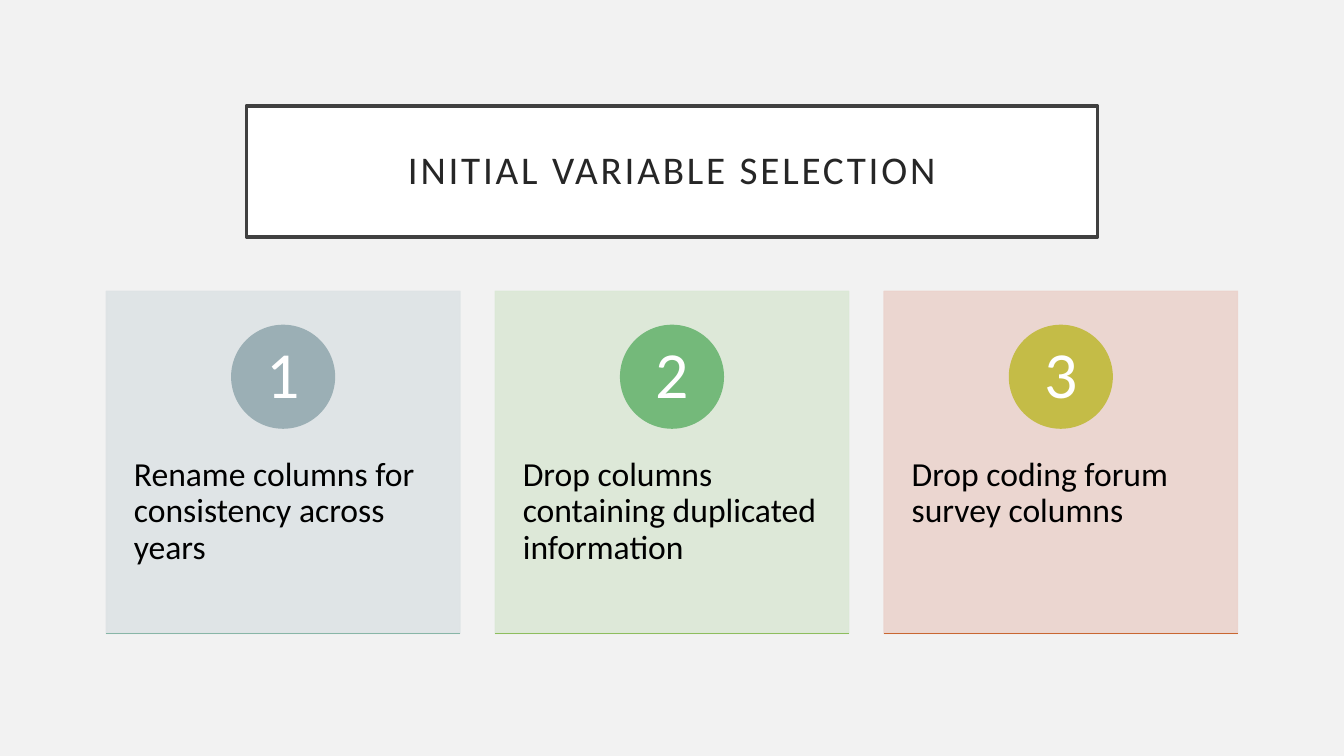
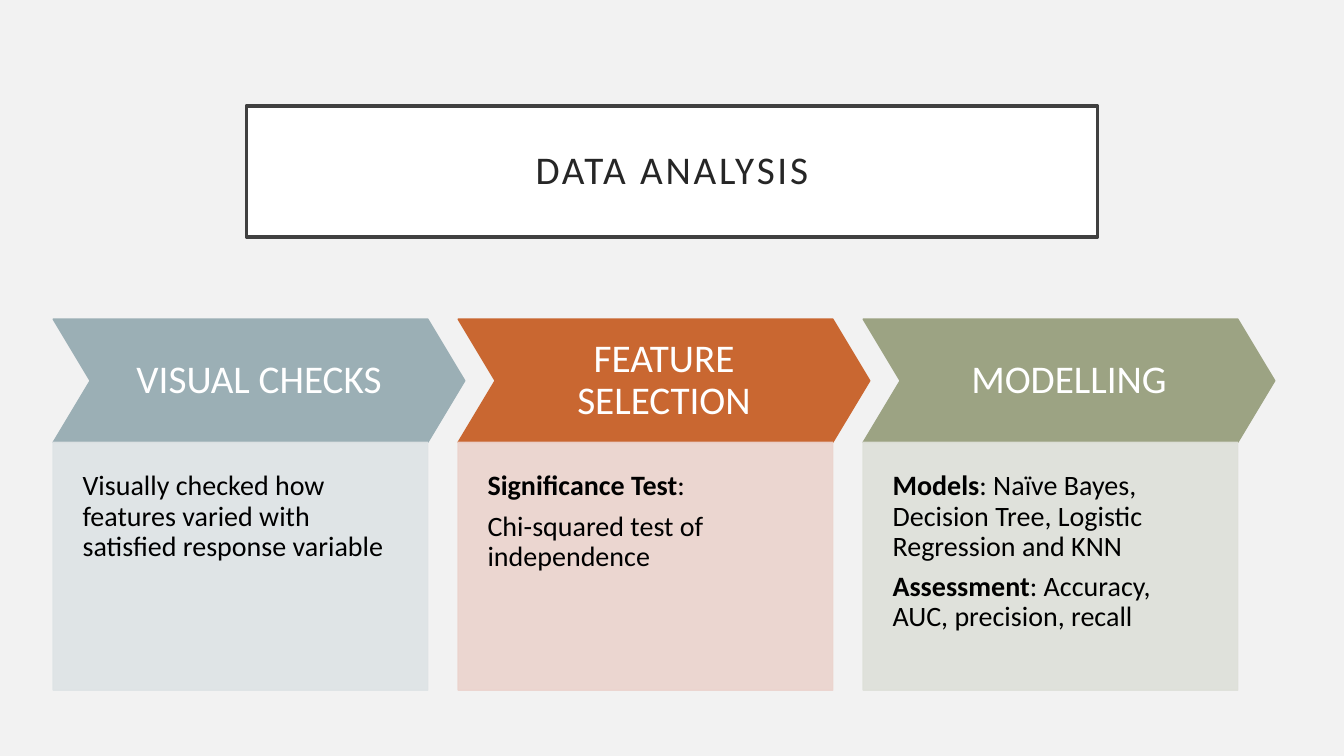
from dataclasses import dataclass

from lxml import etree
from pptx import Presentation
from pptx.dml.color import RGBColor
from pptx.enum.shapes import MSO_CONNECTOR, MSO_SHAPE
from pptx.enum.text import MSO_ANCHOR, MSO_AUTO_SIZE, PP_ALIGN
from pptx.oxml.ns import qn
from pptx.util import Pt

RECT, OVAL, CHEVRON = MSO_SHAPE.RECTANGLE, MSO_SHAPE.OVAL, MSO_SHAPE.CHEVRON
STRAIGHT = MSO_CONNECTOR.STRAIGHT
LEFT, CENTER = PP_ALIGN.LEFT, PP_ALIGN.CENTER
TOP, MIDDLE = MSO_ANCHOR.TOP, MSO_ANCHOR.MIDDLE
NO_FIT = MSO_AUTO_SIZE.NONE
WIDE, HIGH = 960, 540


# Theme
@dataclass(frozen=True)
class Theme:
    font: str = "Calibri"
    back: str = "F2F2F2"
    white: str = "FFFFFF"
    black: str = "000000"
    frame: str = "404040"
    ink: str = "262626"
    slate: str = "9BAFB5"
    green: str = "74B97A"
    gold: str = "C4BC47"
    rust: str = "C96731"
    sage: str = "9CA383"
    teal: str = "88B6A7"
    lime: str = "8EBE5E"
    pale_slate: str = "DEE3E5"
    pale_green: str = "DBE8D6"
    pale_rust: str = "EBD3CD"
    pale_sage: str = "DEE0D9"
    head: int = 28
    card: int = 24
    body: int = 20
    digit: int = 47


class Deck:
    def __init__(self, theme):
        self.theme = theme
        self.prs = Presentation()
        self.prs.slide_width, self.prs.slide_height = Pt(WIDE), Pt(HIGH)
        self.paint(self.prs.slide_master.background.fill, theme.back)
        self.slide = None

    # Styling
    def paint(self, fill, color, alpha=100):
        fill.solid()
        fill.fore_color.rgb = RGBColor.from_string(color)
        if alpha < 100:
            node = fill._xPr.find(qn("a:solidFill"))[0]
            etree.SubElement(node, qn("a:alpha"), val=str(alpha * 1000))

    def label(self, shape, paras, size, color, pads, align=LEFT,
              anchor=TOP, track=0):
        """Each paragraph is plain text or a (bold lead, rest) pair."""
        frame = shape.text_frame
        frame.word_wrap, frame.auto_size = True, NO_FIT
        frame.vertical_anchor = anchor
        (frame.margin_left, frame.margin_top,
         frame.margin_right, frame.margin_bottom) = map(Pt, pads)
        for i, text in enumerate(paras):
            para = frame.add_paragraph() if i else frame.paragraphs[0]
            para.alignment, para.line_spacing = align, 0.9
            para.space_before, para.space_after = Pt(0), Pt(0.35 * size)
            if isinstance(text, str):
                para.text = text
            else:
                for part, bold in zip(text, (True, False)):
                    run = para.add_run()
                    run.text, run.font.bold = part, bold
            for run in para.runs:
                run.font.name, run.font.size = self.theme.font, Pt(size)
                run.font.color.rgb = RGBColor.from_string(color)
                if track:
                    run._r.get_or_add_rPr().set("spc", str(track * 100))

    # Elements
    def title(self, text):
        layout = self.prs.slide_layouts[5]
        self.slide = self.prs.slides.add_slide(layout)
        box = self.slide.shapes.title
        box.left, box.top, box.width, box.height = map(
            Pt, (176, 75.6, WIDE - 2 * 176, 93.6))
        self.paint(box.fill, self.theme.white)
        self.paint(box.line.fill, self.theme.frame)
        box.line.width = Pt(2.5)
        self.label(box, [text], self.theme.head, self.theme.ink, [14.4] * 4,
                   CENTER, MIDDLE, track=2)

    def shape(self, kind, x, y, w, h, color, alpha=100):
        item = self.slide.shapes.add_shape(kind, Pt(x), Pt(y), Pt(w), Pt(h))
        item.shadow.inherit = False
        self.paint(item.fill, color, alpha)
        self.paint(item.line.fill, color, alpha)
        item.line.width = Pt(1)
        return item

    def rule(self, x, y, w, color):
        line = self.slide.shapes.add_connector(
            STRAIGHT, Pt(x), Pt(y), Pt(x + w), Pt(y))
        self.paint(line.line.fill, color)
        line.line.width = Pt(0.75)
        etree.SubElement(line._element.spPr, qn("a:effectLst"))

    def card(self, x, y, w, h, num, text, tint, dot, edge):
        theme = self.theme
        box = self.shape(RECT, x, y, w, h, tint, 90)
        self.label(box, [text], theme.card, theme.black,
                   (19.7, 118.8, 19.7, 26))
        size = 0.3 * h
        disc = self.shape(OVAL, x + (w - size) / 2, y + 0.1 * h,
                          size, size, dot)
        self.label(disc, [str(num)], theme.digit, theme.white,
                   (5.7, 0.9, 5.7, 0.9), CENTER, MIDDLE)
        self.rule(x, y + h, w, edge)

    def stage(self, x, y, w, head, paras, color, tint):
        theme, tall, slant = self.theme, 88, 0.3
        arrow = self.shape(CHEVRON, x, y, w, tall, color)
        arrow.adjustments[0] = slant
        self.label(arrow, [head], theme.head, theme.white, [10.6] * 4,
                   CENTER, MIDDLE)
        box = self.shape(RECT, x, y + tall, w - slant * tall, 177, tint, 90)
        self.label(box, paras, theme.body, theme.black, (21, 21, 21, 42))


def main():
    theme = Theme()
    deck = Deck(theme)

    # Numbered cards
    deck.title("INITIAL VARIABLE SELECTION")
    cards = [
        ("Rename columns for consistency across years",
         theme.pale_slate, theme.slate, theme.teal),
        ("Drop columns containing duplicated information",
         theme.pale_green, theme.green, theme.lime),
        ("Drop coding forum survey columns",
         theme.pale_rust, theme.gold, theme.rust),
    ]
    wide = 252.5
    step = 1.1 * wide
    left = (WIDE - wide - 2 * step) / 2
    for i, card in enumerate(cards):
        deck.card(left + i * step, 208, wide, 244.5, i + 1, *card)

    # Chevron stages
    deck.title("DATA ANALYSIS")
    stages = [
        ("VISUAL CHECKS",
         ["Visually checked how features varied with satisfied "
          "response variable"],
         theme.slate, theme.pale_slate),
        ("FEATURE SELECTION",
         [("Significance Test", ":"), "Chi-squared test of independence"],
         theme.rust, theme.pale_rust),
        ("MODELLING",
         [("Models", ": Naïve Bayes, Decision Tree, Logistic Regression "
           "and KNN"),
          ("Assessment", ": Accuracy, AUC, precision, recall")],
         theme.sage, theme.pale_sage),
    ]
    for i, stage in enumerate(stages):
        deck.stage(38 + i * 289.3, 228, 294, *stage)

    deck.prs.save("out.pptx")


if __name__ == "__main__":
    main()
